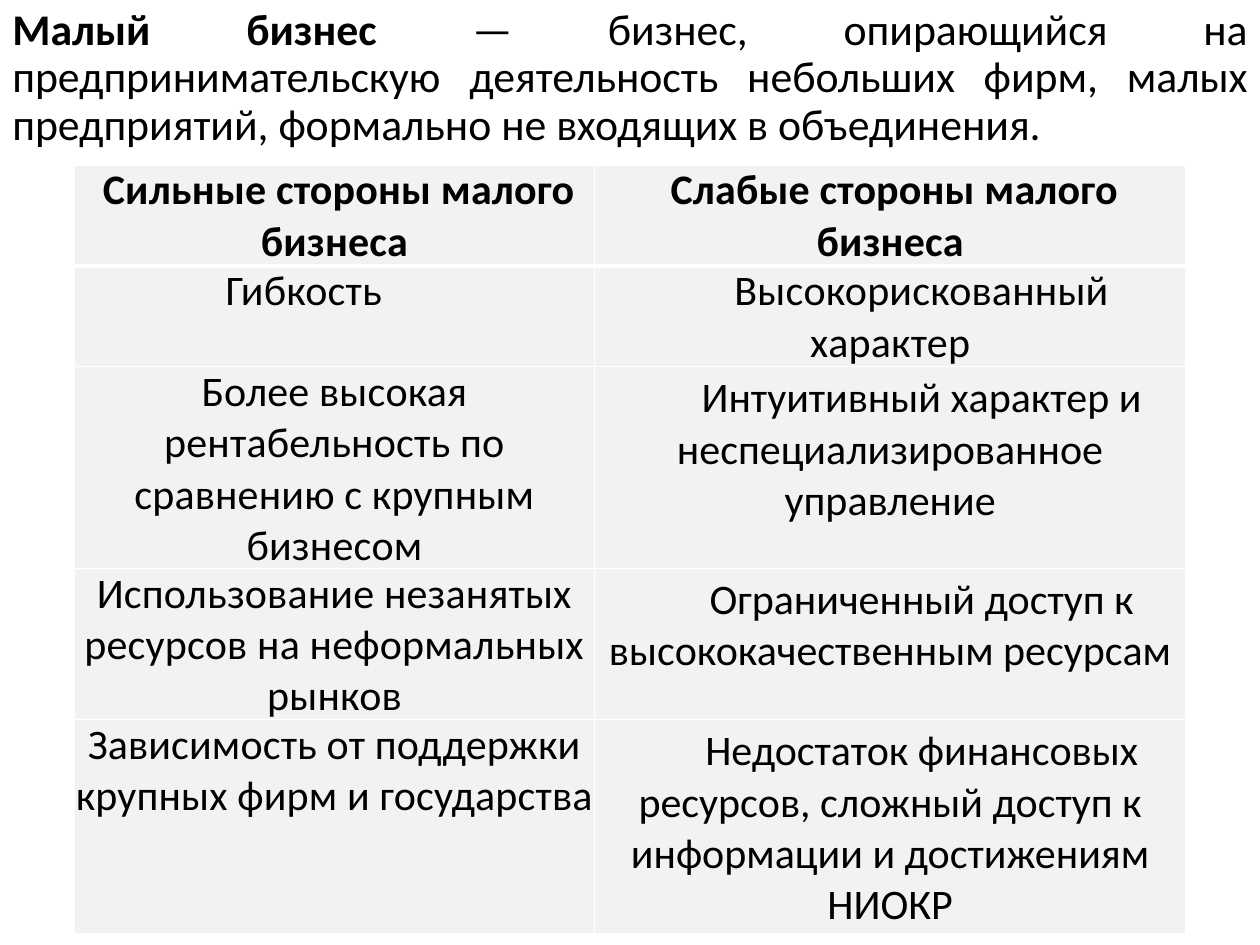
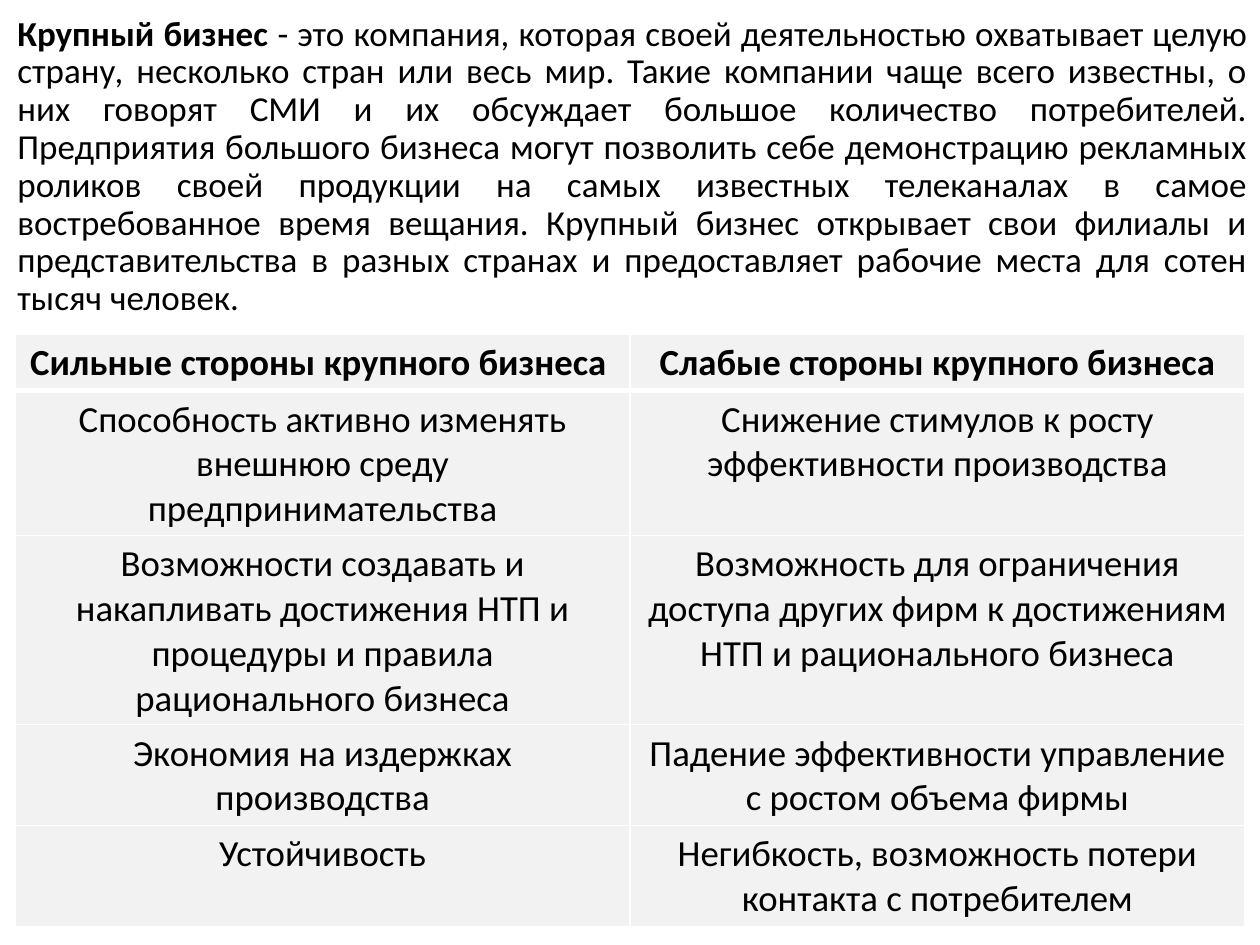
from dataclasses import dataclass
from typing import Optional

from lxml import etree
from pptx import Presentation
from pptx.dml.color import RGBColor
from pptx.enum.text import MSO_ANCHOR, PP_ALIGN
from pptx.oxml.ns import qn
from pptx.util import Inches, Pt

CENTER, JUSTIFY, LEFT = PP_ALIGN.CENTER, PP_ALIGN.JUSTIFY, PP_ALIGN.LEFT
TOP, MIDDLE, BOTTOM = MSO_ANCHOR.TOP, MSO_ANCHOR.MIDDLE, MSO_ANCHOR.BOTTOM
COLORS = {"text": "000000", "cell": "F2F2F2", "border": "FFFFFF"}
FONT = "Calibri"
BLANK_LAYOUT = 6
HEADER_BORDERS = {"a:lnL": 1, "a:lnR": 1, "a:lnT": 1, "a:lnB": 3}


@dataclass(frozen=True)
class Area:
    left: float
    top: float
    width: float
    height: float


@dataclass(frozen=True)
class Definition:
    area: Area
    size: float
    term: str
    lines: tuple[str, ...]


@dataclass(frozen=True)
class Entry:
    text: str
    tight: bool = False
    anchor: MSO_ANCHOR = TOP
    align: PP_ALIGN = CENTER
    margin: float = 0
    indent: float = 0
    spacing: float = 0


@dataclass(frozen=True)
class Comparison:
    area: Area
    size: float
    columns: tuple[float, ...]
    rows: tuple[float, ...]
    entries: tuple[tuple[Entry, Entry], ...]


def tight(text: str, anchor: MSO_ANCHOR = TOP, align: PP_ALIGN = CENTER,
          margin: float = 0, indent: float = 0) -> Entry:
    return Entry(text, True, anchor, align, margin, indent, 0.1)


def heading(text: str) -> Entry:
    return tight(text, BOTTOM, indent=0.07)


def indented(text: str) -> Entry:
    return Entry(text, indent=0.5)


SMALL_DEFINITION = Definition(
    Area(0, 0, 10, 1.25), 25, "Малый бизнес ",
    ("— бизнес, опирающийся на предпринимательскую деятельность небольших фирм, "
     "малых предприятий, формально не входящих в объединения.",))

SMALL_COMPARISON = Comparison(
    Area(0.59, 1.31, 8.82, 6.1), 24, (4.13, 4.69), (0.74, 0.37, 1.48, 1.11, 1.58),
    ((heading("Сильные стороны малого бизнеса"),
      heading("Слабые стороны малого бизнеса")),
     (tight("Гибкость", align=LEFT, margin=1.19),
      tight("Высокорискованный характер", indent=0.5)),
     (tight("Более высокая рентабельность по сравнению с крупным бизнесом", BOTTOM),
      indented("Интуитивный характер и неспециализированное управление")),
     (tight("Использование незанятых ресурсов на неформальных рынков", BOTTOM),
      indented("Ограниченный доступ к высококачественным ресурсам")),
     (tight("Зависимость от поддержки крупных фирм и государства"),
      indented("Недостаток финансовых ресурсов, сложный доступ к информации "
               "и достижениям НИОКР"))))

LARGE_DEFINITION = Definition(
    Area(0.04, 0, 9.96, 2.65), 20, "Крупный бизнес ",
    ("- это компания, которая своей деятельностью охватывает целую страну, "
     "несколько стран или весь мир. Такие компании чаще всего известны, о них "
     "говорят СМИ и их обсуждает большое количество потребителей.",
     "Предприятия большого бизнеса могут позволить себе демонстрацию рекламных "
     "роликов своей продукции на самых известных телеканалах в самое "
     "востребованное время вещания. Крупный бизнес открывает свои филиалы и "
     "представительства в разных странах и предоставляет рабочие места для сотен "
     "тысяч человек."))

LARGE_COMPARISON = Comparison(
    Area(0.12, 2.65, 9.76, 4.7), 21, (4.88,) * 2, (0.41,) * 5,
    ((Entry("Сильные стороны крупного бизнеса "),
      Entry("Слабые стороны крупного бизнеса")),
     (Entry("Способность активно изменять внешнюю среду предпринимательства"),
      Entry("Снижение стимулов к росту эффективности производства")),
     (Entry("Возможности создавать и накапливать достижения НТП и процедуры "
            "и правила рационального бизнеса"),
      Entry("Возможность для ограничения доступа других фирм к достижениям НТП "
            "и рационального бизнеса")),
     (Entry("Экономия на издержках производства"),
      Entry("Падение эффективности управление с ростом объема фирмы")),
     (Entry("Устойчивость"),
      Entry("Негибкость, возможность потери контакта с потребителем"))))

PAGES = ((SMALL_DEFINITION, SMALL_COMPARISON), (LARGE_DEFINITION, LARGE_COMPARISON))


def place(area: Area) -> tuple[Inches, ...]:
    return tuple(Inches(n) for n in (area.left, area.top, area.width, area.height))


def add_span(para, text: str, size: float, bold: bool,
             spacing: Optional[float] = None) -> None:
    span = para.add_run()
    span.text = text
    span.font.name = FONT
    span.font.size = Pt(size)
    span.font.bold = bold
    span.font.color.rgb = RGBColor.from_string(COLORS["text"])
    if spacing:
        span.font._element.set("spc", str(round(spacing * 100)))


def draw_definition(page, definition: Definition) -> None:
    box = page.shapes.add_textbox(*place(definition.area))
    frame = box.text_frame
    frame.word_wrap = True
    frame.vertical_anchor = MIDDLE
    para = frame.paragraphs[0]
    para.alignment = JUSTIFY
    para.line_spacing = 0.9
    add_span(para, definition.term, definition.size, True)
    for number, line in enumerate(definition.lines):
        if number:
            para.add_line_break()
        add_span(para, line, definition.size, False)


def add_header_borders(cell) -> None:
    properties = cell._tc.get_or_add_tcPr()
    for tag, width in HEADER_BORDERS.items():
        line = etree.SubElement(properties, qn(tag), w=str(Pt(width)))
        fill = etree.SubElement(line, qn("a:solidFill"))
        etree.SubElement(fill, qn("a:srgbClr"), val=COLORS["border"])


def fill_cell(cell, entry: Entry, size: float, is_header: bool) -> None:
    if is_header:
        add_header_borders(cell)
    cell.fill.solid()
    cell.fill.fore_color.rgb = RGBColor.from_string(COLORS["cell"])
    cell.vertical_anchor = entry.anchor
    if entry.tight:
        cell.margin_left = cell.margin_right = Inches(0.01)
        cell.margin_top = cell.margin_bottom = 0
    para = cell.text_frame.paragraphs[0]
    para.alignment = entry.align
    properties = para._p.get_or_add_pPr()
    properties.set("marL", str(Inches(entry.margin)))
    properties.set("indent", str(Inches(entry.indent)))
    add_span(para, entry.text, size, is_header, entry.spacing)


def draw_comparison(page, comparison: Comparison) -> None:
    holder = page.shapes.add_table(
        len(comparison.rows), len(comparison.columns), *place(comparison.area))
    table = holder.table
    for column, width in zip(table.columns, comparison.columns):
        column.width = Inches(width)
    for row, height in zip(table.rows, comparison.rows):
        row.height = Inches(height)
    holder.height = Inches(comparison.area.height)
    for row_number, entries in enumerate(comparison.entries):
        for column_number, entry in enumerate(entries):
            fill_cell(table.cell(row_number, column_number), entry,
                      comparison.size, row_number == 0)


def main() -> None:
    deck = Presentation()
    deck.slide_width = Inches(10)
    deck.slide_height = Inches(7.5)
    for definition, comparison in PAGES:
        page = deck.slides.add_slide(deck.slide_layouts[BLANK_LAYOUT])
        draw_definition(page, definition)
        draw_comparison(page, comparison)
    deck.save("out.pptx")


if __name__ == "__main__":
    main()
